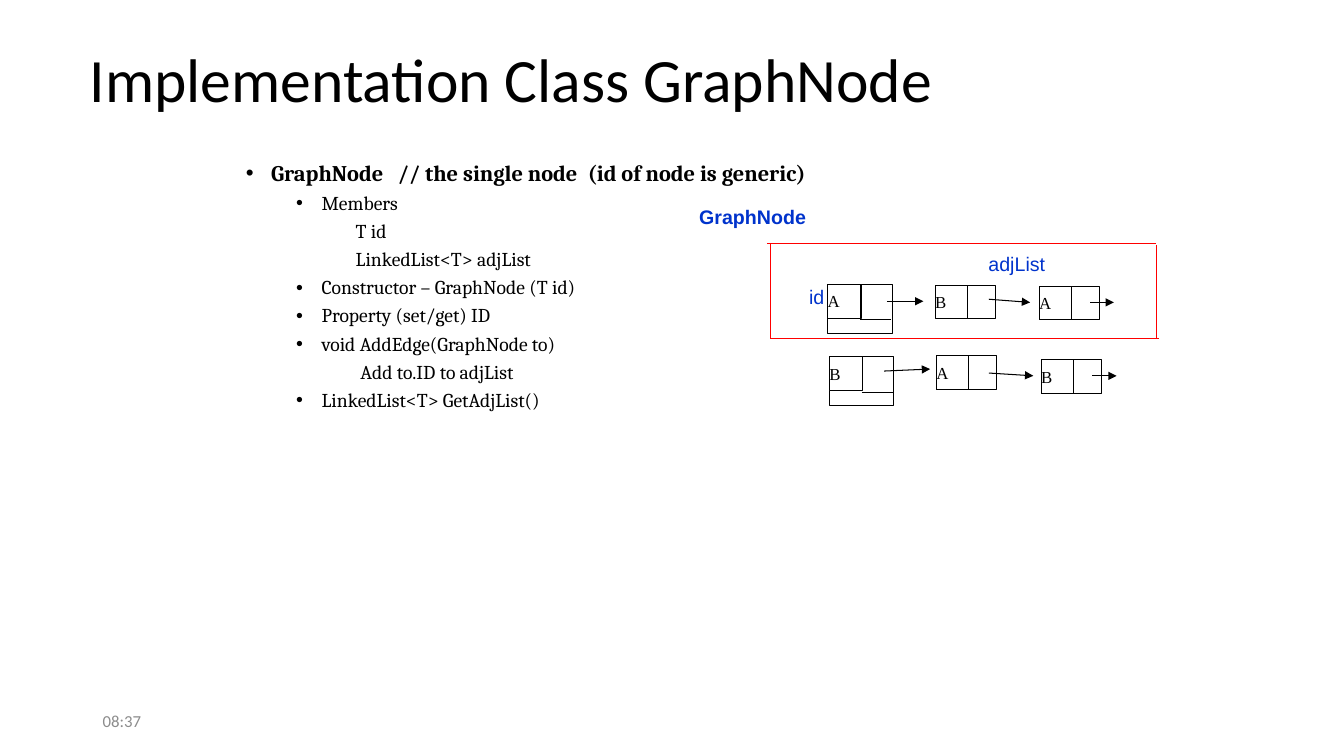
from lxml import etree
from pptx import Presentation
from pptx.dml import color
from pptx.enum import shapes, text
from pptx.oxml import ns
from pptx.util import Cm, Pt

BLACK = color.RGBColor(0, 0, 0)
WHITE = color.RGBColor(255, 255, 255)
RED = color.RGBColor(255, 0, 0)
BLUE = color.RGBColor(0, 0x33, 0xCC)
GRAY = color.RGBColor(0x8C, 0x8C, 0x8C)

TITLE = "Implementation Class GraphNode"
HEAD = "GraphNode\t// the single node\t(id of node is generic)"
TABS = (3.83, 8.62)
HANG = 0.64
ITEMS = [
    (HEAD, 0, HANG, True),
    ("Members", 1, 1.91, True),
    ("T id", 1, 2.77, False),
    ("LinkedList<T> adjList", 1, 2.77, False),
    ("Constructor – GraphNode (T id)", 1, 1.91, True),
    ("Property (set/get) ID", 1, 1.91, True),
    ("void AddEdge(GraphNode to)", 1, 1.91, True),
    ("Add to.ID to adjList", 1, 2.89, False),
    ("LinkedList<T> GetAdjList()", 1, 1.91, True),
]
NODES = [
    ("B", 23.57, 7.19), ("A", 26.19, 7.21),
    ("A", 23.6, 8.97), ("B", 26.24, 9.07),
]
OWNERS = [("A", 20.86, 7.16), ("B", 20.9, 8.99)]
ARROWS = [
    (22.35, 7.59, 23.27, 7.59), (24.92, 7.54, 25.96, 7.62),
    (27.48, 7.62, 28.07, 7.62), (22.28, 9.35, 23.44, 9.3),
    (24.92, 9.4, 26.04, 9.47), (27.53, 9.47, 28.14, 9.47),
]
FRAME = [
    (19.41, 6.12, 19.41, 8.51), (19.41, 8.53, 29.21, 8.53),
    (19.33, 6.12, 29.13, 6.12), (29.13, 6.17, 29.13, 8.53),
]
LABELS = [
    ("id", 20.14, 7.06, 0.89, False),
    ("adjList", 24.66, 6.22, 1.96, False),
    ("GraphNode", 17.37, 5.05, 3.23, True),
]


def add_tag(node, tag, **attrs):
    return etree.SubElement(node, ns.qn(tag), attrs)


def style(para, face, size, ink, bold=False):
    for run in para.runs:
        run.font.name = face
        run.font.size = Pt(size)
        run.font.color.rgb = ink
        run.font.bold = bold


def place(shape, *spot):
    shape.left, shape.top, shape.width, shape.height = map(Cm, spot)


def add_box(slide, left, top, wide, high, label=""):
    box = slide.shapes.add_shape(
        shapes.MSO_SHAPE.RECTANGLE, *map(Cm, (left, top, wide, high)))
    box.shadow.inherit = False
    box.fill.solid()
    box.fill.fore_color.rgb = WHITE
    box.line.color.rgb = BLACK
    box.line.width = Pt(0.75)
    if label:
        frame = box.text_frame
        frame.margin_left = frame.margin_right = 0
        frame.margin_top = frame.margin_bottom = 0
        frame.text = label
        style(frame.paragraphs[0], "Times New Roman", 12, BLACK)


def add_line(slide, ends, ink=BLACK, wide=0.75, arrow=False):
    line = slide.shapes.add_connector(
        shapes.MSO_CONNECTOR.STRAIGHT, *map(Cm, ends))
    line.line.color.rgb = ink
    line.line.width = Pt(wide)
    if arrow:
        add_tag(line.line._get_or_add_ln(), "a:tailEnd", type="triangle")
    add_tag(line._element.spPr, "a:effectLst")


def add_text(slide, words, spot, size, ink, face, bold=False, wrap=False):
    box = slide.shapes.add_textbox(*map(Cm, spot))
    box.text_frame.word_wrap = wrap
    box.text_frame.text = words
    style(box.text_frame.paragraphs[0], face, size, ink, bold)
    return box


def fill_list(frame):
    frame.text = "\n".join(item[0] for item in ITEMS)
    frame.auto_size = text.MSO_AUTO_SIZE.NONE
    for para, (words, level, left, dot) in zip(frame.paragraphs, ITEMS):
        props = para._p.get_or_add_pPr()
        props.set("marL", str(Cm(left)))
        props.set("indent", str(-Cm(HANG) if dot else 0))
        if dot:
            add_tag(props, "a:buFont", typeface="Arial")
            add_tag(props, "a:buChar", char="•")
        else:
            add_tag(props, "a:buNone")
        if "\t" in words:
            stops = add_tag(props, "a:tabLst")
            for stop in TABS:
                add_tag(stops, "a:tab", pos=str(Cm(stop)), algn="l")
        para.level = level
        para.alignment = text.PP_ALIGN.JUSTIFY
        para.line_spacing = 0.9
        para.space_before = Pt(5 if level else 0)
        style(para, "Cambria", 14 if level else 16, BLACK, not level)


def main():
    """Build the GraphNode slide."""
    deck = Presentation()
    deck.slide_width, deck.slide_height = Cm(33.87), Cm(19.05)
    slide = deck.slides.add_slide(deck.slide_layouts[1])
    title, body = slide.placeholders

    place(title, 2.01, 0.23, 29.21, 3.68)
    title.text_frame.text = TITLE
    title.text_frame.vertical_anchor = text.MSO_ANCHOR.MIDDLE
    para = title.text_frame.paragraphs[0]
    para.alignment = text.PP_ALIGN.LEFT
    para.line_spacing = 0.9
    style(para, "Calibri", 44, BLACK)

    place(body, 5.94, 3.96, 22.86, 14.15)
    fill_list(body.text_frame)

    for name, left, top in NODES:
        add_box(slide, left, top, 1.52, 0.84)
        add_box(slide, left, top, 0.81, 0.84, name)
    for name, left, top in OWNERS:
        add_box(slide, left, top, 1.63, 1.24)
        add_box(slide, left, top, 0.84, 0.86, name)
        base = top + 0.89
        add_line(slide, (left + 0.82, base, left + 1.6, base))
    for ends in ARROWS:
        add_line(slide, ends, arrow=True)
    for ends in FRAME:
        add_line(slide, ends, RED, 0.5)
    for words, left, top, wide, bold in LABELS:
        add_text(slide, words, (left, top, wide, 0.86), 14, BLUE, "Arial", bold)

    clock = add_text(slide, "08:37", (2.34, 17.65, 7.62, 1.02),
                     12, GRAY, "Calibri", wrap=True)
    clock.text_frame.vertical_anchor = text.MSO_ANCHOR.MIDDLE
    deck.save("out.pptx")


if __name__ == "__main__":
    main()
